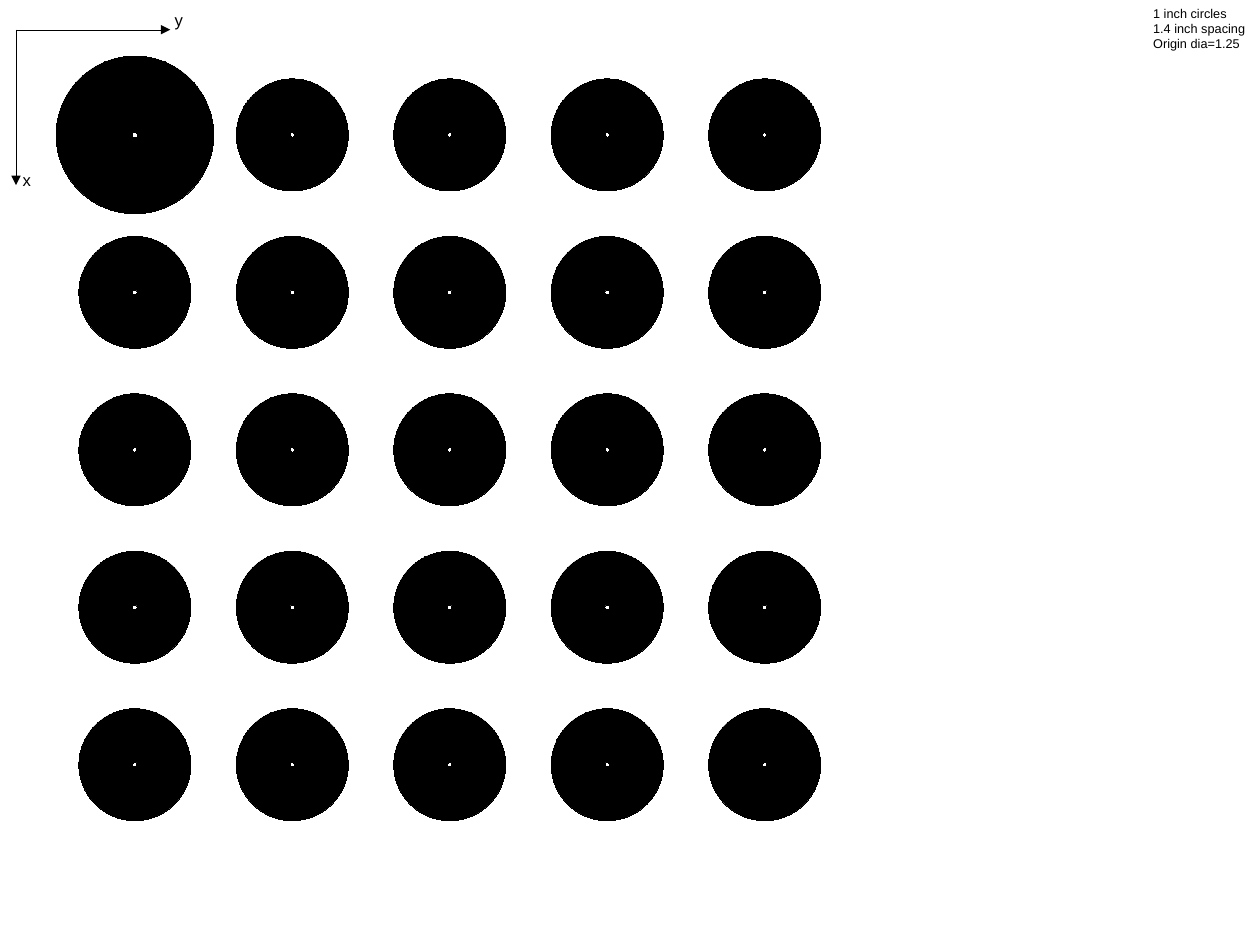
from pptx import Presentation
from pptx.dml.color import RGBColor
from pptx.enum.shapes import MSO_CONNECTOR, MSO_SHAPE
from pptx.enum.text import MSO_AUTO_SIZE
from pptx.oxml.ns import qn
from pptx.util import Inches, Pt
from lxml.etree import SubElement

COLORS = {"black": "000000", "white": "FFFFFF"}
CM_PER_INCH = 2.54
GRID = 5
FIRST, LAST = 1.18, 6.69  # first and last circle centres, same on both axes
PITCH = (LAST - FIRST) / (GRID - 1)
AXIS_X, AXIS_Y = 0.14, 0.26


def rgb(name):
    return RGBColor.from_string(COLORS[name])


def set_hairline(sp):
    """Give a black line of explicit zero width, which the theme cannot widen."""
    sp.line.color.rgb = rgb("black")
    ln = sp.line._get_or_add_ln()
    ln.set("w", "0")
    return ln


prs = Presentation()
prs.slide_width = Inches(28 / CM_PER_INCH)
prs.slide_height = Inches(21 / CM_PER_INCH)
s = prs.slides.add_slide(prs.slide_layouts[6])

# Calibration grid: the circle at the origin is larger
for row in range(GRID):
    for col in range(GRID):
        cx, cy = FIRST + col * PITCH, FIRST + row * PITCH
        disc, dot = (1.38, 0.05) if row == col == 0 else (0.98, 0.04)
        for diameter, color in [(disc, "black"), (dot, "white")]:
            sp = s.shapes.add_shape(
                MSO_SHAPE.OVAL,
                Inches(cx - diameter / 2), Inches(cy - diameter / 2),
                Inches(diameter), Inches(diameter))
            sp.shadow.inherit = False
            sp.fill.solid()
            sp.fill.fore_color.rgb = rgb(color)
            set_hairline(sp)

# Axes: x runs down, y runs right
for end_x, end_y in [(AXIS_X, 1.62), (1.49, AXIS_Y)]:
    axis = s.shapes.add_connector(
        MSO_CONNECTOR.STRAIGHT, Inches(AXIS_X), Inches(AXIS_Y),
        Inches(end_x), Inches(end_y))
    SubElement(set_hairline(axis), qn("a:tailEnd"), type="triangle")
    SubElement(axis._element.spPr, qn("a:effectLst"))

# Axis names and the grid's dimensions
labels = [
    (0.1, 1.44, 0.27, 0.26, 10.5, ["x"]),
    (1.43, 0.04, 0.27, 0.26, 10.5, ["y"]),
    (9.99, 0, 1.01, 0.47, 8,
     ["1 inch circles", "1.4 inch spacing", "Origin dia=1.25"]),
]
for left, top, width, height, size, lines in labels:
    box = s.shapes.add_textbox(
        Inches(left), Inches(top), Inches(width), Inches(height))
    tf = box.text_frame
    tf.word_wrap = False
    tf.auto_size = MSO_AUTO_SIZE.SHAPE_TO_FIT_TEXT
    tf.text = "\n".join(lines)
    for p in tf.paragraphs:
        font = p.runs[0].font
        for name, value in {"name": "Arial", "size": Pt(size)}.items():
            setattr(font, name, value)
        font.color.rgb = rgb("black")

prs.save("out.pptx")
